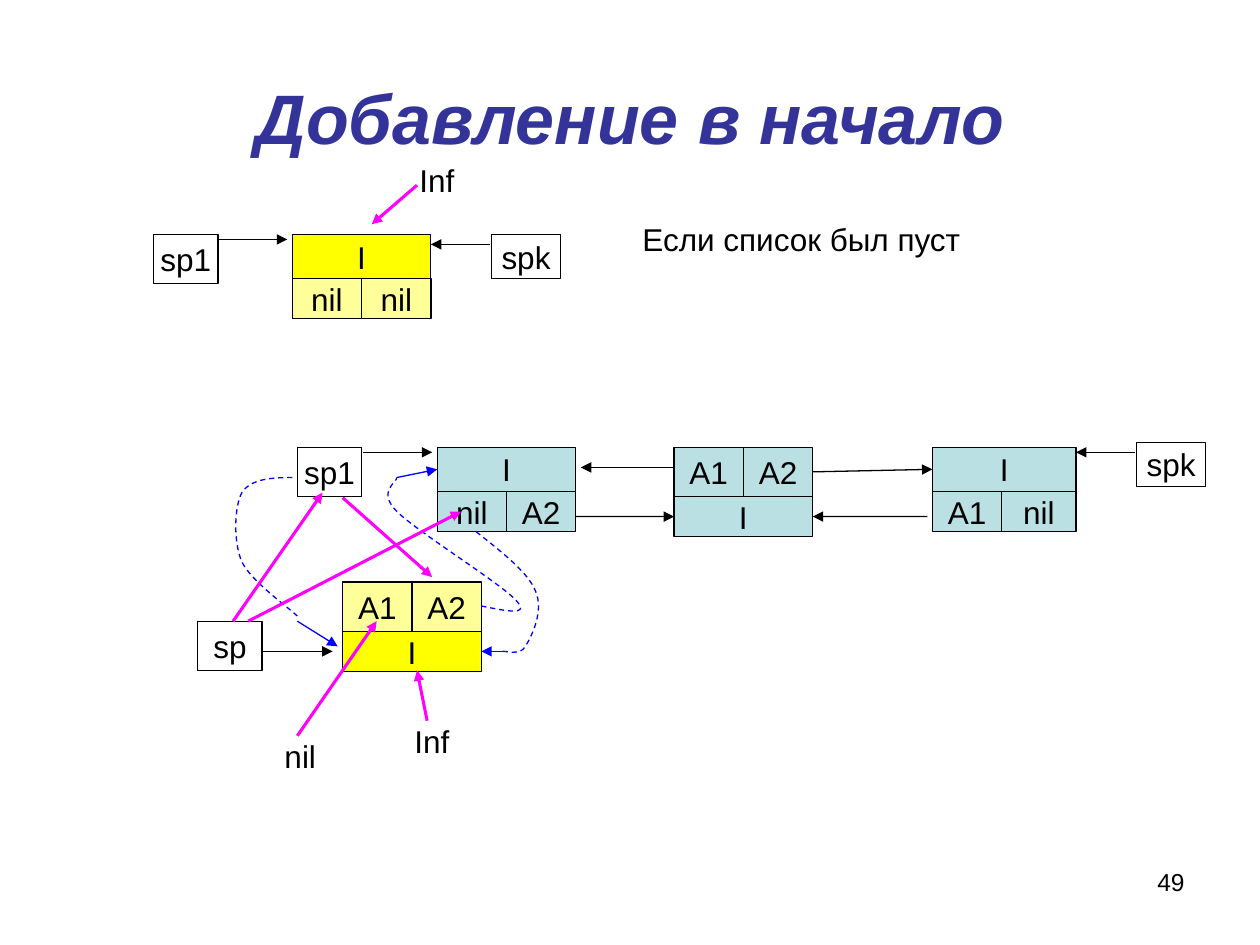
from lxml.etree import SubElement
from pptx import Presentation
from pptx.dml.color import RGBColor
from pptx.enum.dml import MSO_LINE
from pptx.enum.shapes import MSO_CONNECTOR, MSO_SHAPE
from pptx.enum.text import MSO_ANCHOR, PP_ALIGN
from pptx.oxml.ns import qn
from pptx.util import Inches, Pt

BLACK, BLUE, PINK = "000000", "0000FF", "FF00FF"
TEAL, YELLOW, PALE = "BBE0E3", "FFFF00", "FFFF99"
TOP, LEFT, BOTTOM, RIGHT = range(4)
INFO_H, PTR_H, LOW_H = 0.35, 0.39, 0.32

TITLE = "Добавление в начало"
NODES = [
    ("single", 2.32, 1.86, 1.1, True, "nil", "nil", YELLOW, PALE),
    ("first", 3.47, 3.55, 1.1, True, "nil", "А2", TEAL, TEAL),
    ("middle", 5.35, 3.55, 1.1, False, "A1", "A2", TEAL, TEAL),
    ("last", 7.4, 3.55, 1.14, True, "A1", "nil", TEAL, TEAL),
    ("new", 2.72, 4.62, 1.1, False, "A1", "A2", YELLOW, PALE),
]
POINTERS = [
    ("sp1", 1.22, 1.86, 0.51, 0.39),
    ("spk", 3.9, 1.86, 0.55, 0.35),
    ("sp1", 2.36, 3.55, 0.51, 0.39),
    ("spk", 9.02, 3.51, 0.55, 0.35),
    ("sp", 1.57, 4.93, 0.51, 0.39),
]
LABELS = [
    ("Если список был пуст", 5, 1.7, 3.98, 0.4, 18, PP_ALIGN.LEFT),
    ("Inf", 3.23, 1.23, 0.67, 0.4, 18, PP_ALIGN.LEFT),
    ("Inf", 3.19, 5.68, 0.67, 0.4, 18, PP_ALIGN.LEFT),
    ("nil", 2.16, 5.8, 0.67, 0.4, 18, PP_ALIGN.LEFT),
    ("49", 7.17, 6.83, 2.33, 0.52, 14, PP_ALIGN.RIGHT),
]
ARROWS = [
    (BLACK, 0.75, [
        ((1.73, 1.9), (2.28, 1.9)),
        ((3.89, 1.94), (3.42, 1.94)),
        ((2.88, 3.59), (3.43, 3.59)),
        ((9.01, 3.59), (8.54, 3.59)),
        ((4.57, 4.1), ("middle", "info", LEFT)),
        ((5.34, 3.71), (4.61, 3.71)),
        (("middle", "right", RIGHT), ("last", "info", LEFT)),
        ((7.36, 4.1), ("middle", "info", RIGHT)),
        ((2.09, 5.17), (2.64, 5.17)),
    ]),
    (PINK, 1.75, [
        ((3.31, 1.47), (2.95, 1.78)),
        ((2.72, 3.95), (3.43, 4.58)),
        ((1.85, 4.93), (2.56, 3.91)),
        ((1.97, 4.93), (3.66, 4.06)),
        ((3.39, 5.72), (3.31, 5.32)),
        ((2.36, 5.84), (2.99, 4.93)),
    ]),
    (BLUE, 0.75, [
        ((3.15, 3.79), ("first", "info", LEFT)),
        ((4.02, 5.17), ("new", "info", RIGHT)),
        ((2.36, 4.93), (2.68, 5.13)),
    ]),
]
CURVES = [
    [(3.82, 4.81), (4.02, 4.85), (4.21, 4.89), (4.1, 4.77), (3.99, 4.64),
     (3.31, 4.22), (3.15, 4.06), (2.99, 3.9), (3.15, 3.83), (3.15, 3.79)],
    [(3.78, 4.22), (3.98, 4.38), (4.19, 4.54), (4.25, 4.69), (4.32, 4.85),
     (4.22, 5.05), (4.17, 5.13), (4.13, 5.21), (4, 5.16), (3.98, 5.17)],
    [(2.32, 3.79), (2.16, 3.79), (1.99, 3.8), (1.92, 3.91), (1.86, 4.02),
     (1.85, 4.3), (1.92, 4.46), (2, 4.62), (2.29, 4.82), (2.36, 4.89)],
]


def rgb(color):
    return RGBColor.from_string(color)


def write(tf, text, size=18, color=BLACK, align=PP_ALIGN.CENTER):
    p = tf.paragraphs[0]
    p.alignment = align
    r = p.add_run()
    r.text = text
    r.font.name, r.font.size = "Arial", Pt(size)
    r.font.color.rgb = rgb(color)
    return r


def set_line(shape, color, width):
    shape.line.color.rgb = rgb(color)
    shape.line.width = Pt(width)


def add_box(s, text, x, y, w, h, fill=None):
    sp = s.shapes.add_shape(MSO_SHAPE.RECTANGLE, *map(Inches, (x, y, w, h)))
    sp.shadow.inherit = False
    if fill:
        sp.fill.solid()
        sp.fill.fore_color.rgb = rgb(fill)
    else:
        sp.fill.background()
    set_line(sp, BLACK, 0.75)
    tf = sp.text_frame
    tf.word_wrap = False
    tf.vertical_anchor = MSO_ANCHOR.MIDDLE
    write(tf, text)
    return sp


def add_node(s, x, y, w, info_first, left, right, info_fill, ptr_fill):
    upper = INFO_H if info_first else PTR_H
    info_y, ptr_y = (y, y + upper) if info_first else (y + upper, y)
    info_h, ptr_h = (upper, LOW_H) if info_first else (LOW_H, upper)
    half = 0.55
    return {
        "info": add_box(s, "I", x, info_y, w, info_h, info_fill),
        "left": add_box(s, left, x, ptr_y, half, ptr_h, ptr_fill),
        "right": add_box(s, right, x + half, ptr_y, w - half, ptr_h, ptr_fill),
    }


def add_label(s, text, x, y, w, h, size, align):
    tf = s.shapes.add_textbox(*map(Inches, (x, y, w, h))).text_frame
    tf.word_wrap = True
    write(tf, text, size, align=align)


def add_arrow(s, cells, start, end, color, width):
    points = [(0, 0) if len(e) == 3 else e for e in (start, end)]
    c = s.shapes.add_connector(MSO_CONNECTOR.STRAIGHT,
                               *[Inches(v) for point in points for v in point])
    for e, connect in ((start, c.begin_connect), (end, c.end_connect)):
        if len(e) == 3:
            node, cell, side = e
            connect(cells[node][cell], side)
    set_line(c, color, width)
    SubElement(c.line._get_or_add_ln(), qn("a:tailEnd"), type="triangle")
    SubElement(c._element.spPr, qn("a:effectLst"))


def add_curve(s, points):
    start, *rest = [tuple(map(Inches, point)) for point in points]
    builder = s.shapes.build_freeform(*start)
    builder.add_line_segments(rest, close=False)
    sp = builder.convert_to_shape()
    segments = list(sp._element.iter(qn("a:lnTo")))
    for i in range(0, len(segments), 3):
        trio = segments[i:i + 3]
        curve = SubElement(trio[0].getparent(), qn("a:cubicBezTo"))
        for segment in trio:
            curve.append(segment[0])
            segment.getparent().remove(segment)
    sp.shadow.inherit = False
    sp.fill.background()
    set_line(sp, BLUE, 0.75)
    sp.line.dash_style = MSO_LINE.DASH


def main():
    prs = Presentation()
    prs.slide_width, prs.slide_height = Inches(10), Inches(7.5)
    s = prs.slides.add_slide(prs.slide_layouts[5])

    title = s.shapes.title
    title.left, title.top, title.width, title.height = map(Inches, (0.5, 0.3, 9, 1.25))
    title.text_frame.vertical_anchor = MSO_ANCHOR.MIDDLE
    r = write(title.text_frame, TITLE, 40, "333399")
    r.font.bold = r.font.italic = True

    cells = {name: add_node(s, *node) for name, *node in NODES}
    for pointer in POINTERS:
        add_box(s, *pointer)
    for label in LABELS:
        add_label(s, *label)
    for points in CURVES:
        add_curve(s, points)
    for color, width, ends in ARROWS:
        for start, end in ends:
            add_arrow(s, cells, start, end, color, width)
    prs.save("out.pptx")


if __name__ == "__main__":
    main()
